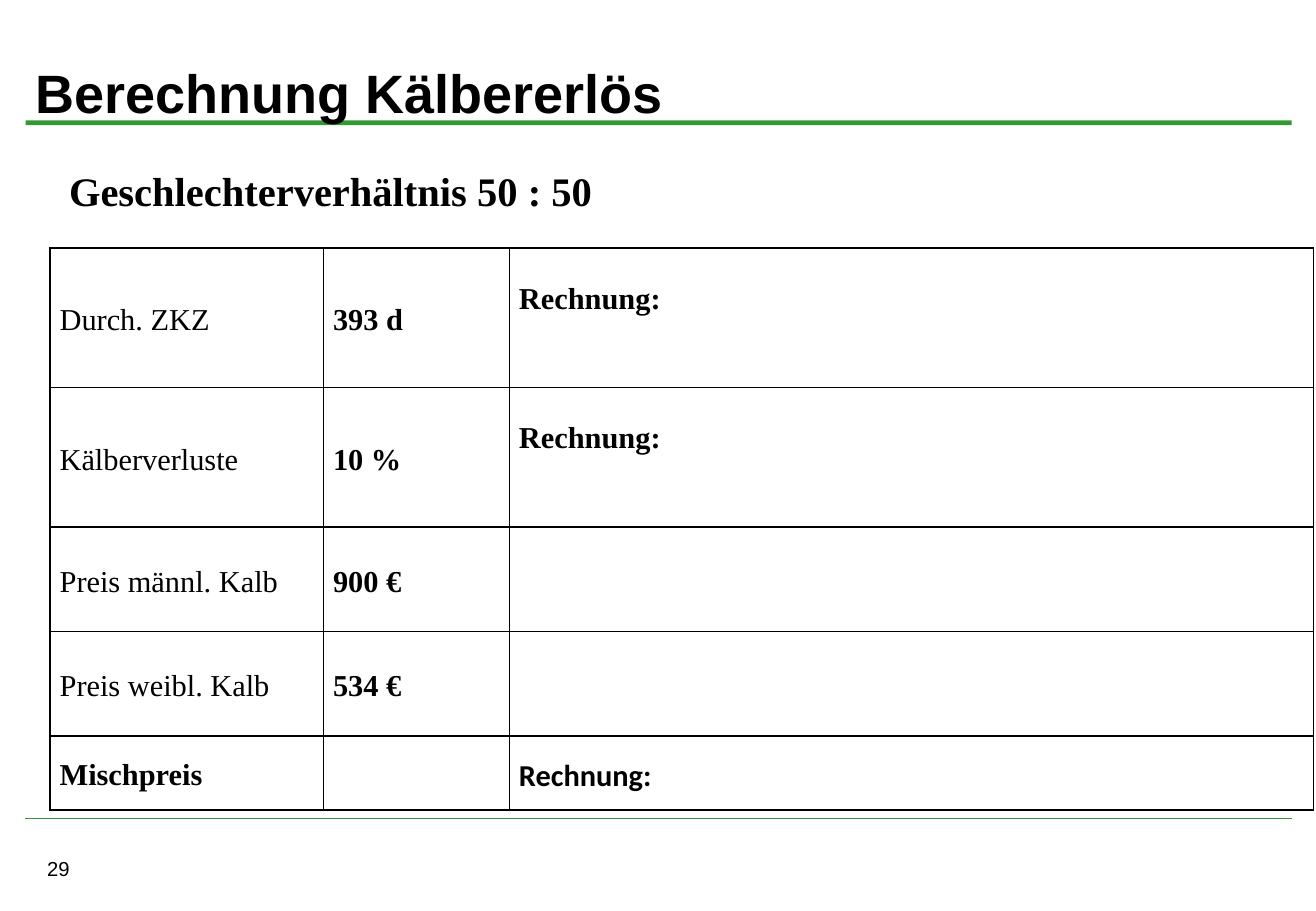
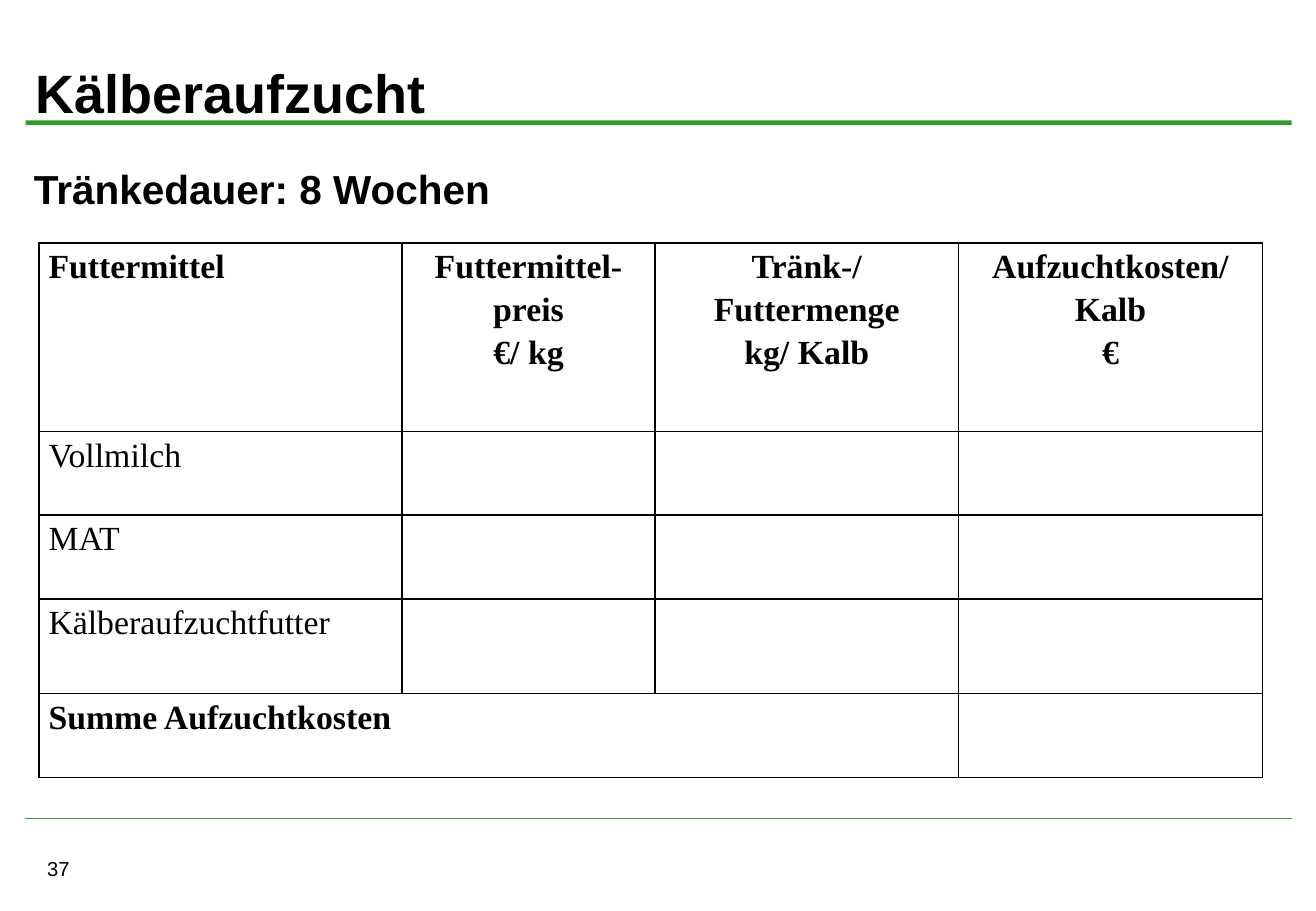
from lxml import etree
from pptx import Presentation
from pptx import util as u
from pptx.dml.color import RGBColor
from pptx.enum import shapes, text
from pptx.oxml import ns, parse_xml

WIDTH, HEIGHT = u.Inches(10.83), u.Inches(7.5)
BLACK, GREEN = "000000", "339933"
SANS, SERIF = "Arial", "Times New Roman"
MIDDLE, TOP = text.MSO_ANCHOR.MIDDLE, text.MSO_ANCHOR.TOP


def color(value):
    """Turn a hex string into a colour."""
    return RGBColor.from_string(value)


def across(percent):
    """Return a share of the slide width."""
    return round(WIDTH * percent / 100)


def down(percent):
    """Return a share of the slide height."""
    return round(HEIGHT * percent / 100)


def area(left, top, width, height):
    """Return a box whose sides are given in percent of the slide."""
    return across(left), down(top), across(width), down(height)


def style(paragraph, size, face=SANS, bold=False):
    """Set the font of a paragraph."""
    font = paragraph.font
    font.size, font.name, font.bold = u.Pt(size), face, bold
    font.color.rgb = color(BLACK)


def add_label(slide, box, words, size, face=SANS, bold=False, anchor=TOP):
    """Add one line of text."""
    frame = slide.shapes.add_textbox(*box).text_frame
    frame.word_wrap = True
    frame.vertical_anchor = anchor
    frame.text = words
    style(frame.paragraphs[0], size, face, bold)


def add_slide(deck, heading, number):
    """Add a slide with title, green band, footer line and page number."""
    slide = deck.slides.add_slide(deck.slide_layouts[5])
    band = slide.shapes.add_shape(shapes.MSO_SHAPE.RECTANGLE, *area(1.94, 13.2, 96.2, 0.53))
    band.shadow.inherit = False
    band.fill.solid()
    band.fill.fore_color.rgb = color(GREEN)
    band.line.fill.background()

    left, right, level = across(1.94), across(98.14), down(89.87)
    rule = slide.shapes.add_connector(shapes.MSO_CONNECTOR.STRAIGHT, left, level, right, level)
    rule.line.color.rgb = color(GREEN)
    rule.line.width = u.Pt(0.75)
    etree.SubElement(rule._element.spPr, ns.qn("a:effectLst"))

    add_label(slide, area(2.68, 93.33, 23.55, 4), str(number), 12)

    title = slide.shapes.title
    title.left, title.top, title.width, title.height = area(1.75, 4.27, 96.49, 11.6)
    title.text_frame.text = heading
    title.text_frame.vertical_anchor = MIDDLE
    paragraph = title.text_frame.paragraphs[0]
    paragraph.alignment = text.PP_ALIGN.LEFT
    style(paragraph, 32, bold=True)
    slide.shapes._spTree.append(title._element)
    return slide


def add_borders(cell):
    """Draw a black line on every side of a cell."""
    properties = cell._tc.get_or_add_tcPr()
    for position, side in enumerate("LRTB"):
        properties.insert(position, parse_xml(
            f'<a:ln{side} {ns.nsdecls("a")} w="12700"><a:solidFill>'
            f'<a:srgbClr val="{BLACK}"/></a:solidFill></a:ln{side}>'))


def fill_cell(cell, words, size, bold, anchor):
    """Write and format one table cell."""
    cell.fill.background()
    add_borders(cell)
    cell.margin_left = cell.margin_right = u.Inches(0.08)
    cell.margin_top = cell.margin_bottom = 0
    cell.vertical_anchor = anchor
    cell.text = words
    for paragraph in cell.text_frame.paragraphs:
        paragraph.line_spacing = 1.15
        style(paragraph, size, SERIF, bold)


def add_grid(slide, left, top, widths, heights, rows, size, plain_rows, anchor):
    """Add a bordered table, bold except for the first column of plain_rows."""
    box = area(left, top, sum(widths), sum(heights))
    table = slide.shapes.add_table(len(heights), len(widths), *box).table
    table.first_row = table.horz_banding = False
    for column, width in zip(table.columns, widths):
        column.width = across(width)
    for r, (row, height, words) in enumerate(zip(table.rows, heights, rows)):
        row.height = down(height)
        for c, (cell, entry) in enumerate(zip(row.cells, words)):
            fill_cell(cell, entry, size, c > 0 or r not in plain_rows, anchor)
    return table


def add_revenue(deck):
    """Build the slide on calf revenue."""
    slide = add_slide(deck, "Berechnung Kälbererlös", 29)
    rows = [
        ("Durch. ZKZ", "393 d", "Rechnung:"),
        ("Kälberverluste", "10 %", "Rechnung:"),
        ("Preis männl. Kalb", "900 €", ""),
        ("Preis weibl. Kalb", "534 €", ""),
        ("Mischpreis", "", "Rechnung:"),
    ]
    table = add_grid(slide, 3.79, 27.2, (20.78, 14.13, 61.13),
                     (15.33, 15.33, 11.47, 11.47, 8.13), rows, 18, range(4), MIDDLE)
    for r in range(2):
        table.cell(r, 2).margin_bottom = down(4.7)
    table.cell(4, 2).text_frame.paragraphs[0].font.name = "Calibri"
    add_label(slide, area(4.34, 17.6, 46, 6.67), "Geschlechterverhältnis 50 : 50",
              24, SERIF, True, MIDDLE)


def add_rearing(deck):
    """Build the slide on calf rearing costs."""
    slide = add_slide(deck, "Kälberaufzucht", 37)
    blank = ("",) * 3
    rows = [
        ("Futtermittel", "Futtermittel-preis\n€/ kg", "Tränk-/ Futtermenge\nkg/ Kalb",
         "Aufzuchtkosten/ Kalb\n€"),
        ("Vollmilch", *blank),
        ("MAT", *blank),
        ("Kälberaufzuchtfutter", *blank),
        ("Summe Aufzuchtkosten", *blank),
    ]
    table = add_grid(slide, 2.95, 26.67, (27.61, 19.21, 23.08, 23.08),
                     (20.67, 9.2, 9.2, 10.4, 9.2), rows, 20, range(1, 4), TOP)
    for c in range(1, 4):
        for paragraph in table.cell(0, c).text_frame.paragraphs:
            paragraph.alignment = text.PP_ALIGN.CENTER
    table.cell(4, 0).merge(table.cell(4, 2))
    add_label(slide, area(1.66, 17.33, 38, 6.67), "Tränkedauer: 8 Wochen",
              24, SANS, True, MIDDLE)


def main():
    """Build and save the presentation."""
    deck = Presentation()
    deck.slide_width, deck.slide_height = WIDTH, HEIGHT
    add_revenue(deck)
    add_rearing(deck)
    deck.save("out.pptx")


if __name__ == "__main__":
    main()
